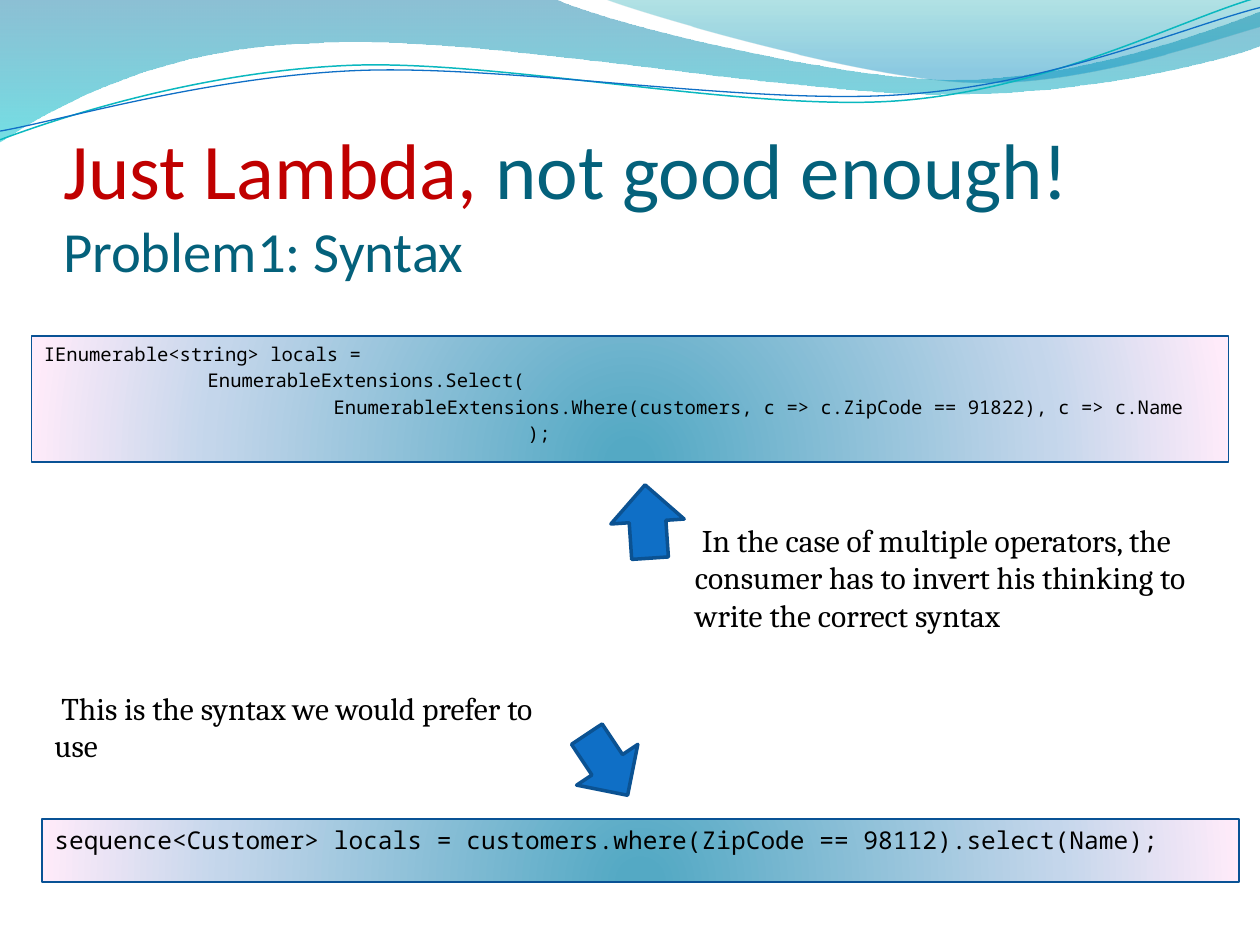
import pptx
import pptx.util
import pptx.dml.color
import pptx.enum.shapes
import pptx.enum.text
import pptx.oxml
import pptx.oxml.ns

Pt = pptx.util.Pt
qn = pptx.oxml.ns.qn
RGB = pptx.dml.color.RGBColor.from_string
SHAPE = pptx.enum.shapes.MSO_SHAPE
TEXT = pptx.enum.text
NS = 'xmlns:a="http://schemas.openxmlformats.org/drawingml/2006/main"'

COLORS = {
    "red": "C00000", "teal": "04617B", "black": "000000",
    "blue": "0F6FC6", "arrow_edge": "0B5292", "code_edge": "095295",
    "cyan": "0AB8BF",
}

# Content: text
TITLE = [[("Just Lambda,", 45, "red"), (" not good enough!", 45, "teal")],
         [("Problem1: Syntax", 32.4, "teal")]]
# Code boxes: place, text size, lines as (left indent, text)
CODE = [
    ((18, 192, 684, 72), 10.8, [
        (0, "IEnumerable<string> locals ="),
        (93.6, "EnumerableExtensions.Select("),
        (165.6, "EnumerableExtensions.Where(customers, c => c.ZipCode == 91822), c => c.Name"),
        (276.5, ");")]),
    ((24, 468, 684, 36), 14, [
        (0, "sequence<Customer> locals = customers.where(ZipCode == 98112).select(Name);")]),
]
NOTES = [
    ((390, 294, 312, 116.5), " In the case of multiple operators, the consumer "
                             "has to invert his thinking to write the correct syntax"),
    ((24, 390, 306, 94.5), " This is the syntax we would prefer to use"),
]
ARROWS = [((349, 277, 42, 42), 176.1), ((326, 416, 42, 42), 326.3)]

# Waves: 2 numbers make a straight line, 6 make a Bezier curve
BANDS = [
    ([("0074A1", 0, 45), ("00C6CF", 100, 55)], (0, 0),
     [(316.8, -0.7), (342.7, 12.2, 478, 45.4, 545.8, 45.4),
      (614.2, 45.4, 689.8, 18.7, 720, 6.5), (720.7, 25.9),
      (707.8, 31.7, 626.4, 54.7, 537.1, 54), (447.8, 54, 275, 20.2, 185, 24.5),
      (92.9, 25.9, 33.1, 59.8, -0.7, 81.4)]),
    ([("00A1A9", 0, 30), ("008BBF", 80, 45)], (344.9, -0.7),
     [(366.5, 7.9, 491, 44.6, 553.7, 46.8), (616.3, 49.7, 691.9, 23, 720, 15.1), (720, 0)]),
]
STRANDS = [
    ("cyan", 0.85, (0, 79.9),
     [(34.6, 67, 113.8, 41, 199.4, 37.4), (284.4, 33.8, 427, 64.1, 513.4, 57.6),
      (599.8, 51.1, 675.4, 10.8, 718.6, -1.4)]),
    ("blue", 0.75, (0, 74.9),
     [(33.8, 69.1, 118.1, 43.9, 203.8, 40.3), (290.2, 36.7, 429.8, 60.5, 516.2, 54),
      (601.9, 48.2, 677.5, 15.1, 720, 4.3)]),
]
CODE_STOPS = [("54A9C4", 3, 100), ("C4D6EB", 70, 100), ("FFEBFA", 100, 100)]
LINEAR = '<a:lin ang="5400000" scaled="0"/>'
RADIAL = '<a:path path="circle"><a:fillToRect l="50000" t="100000" r="50000" b="0"/></a:path>'


def add_wave(start, segments, close):
    """Freeform whose six-number segments become true Bezier curves."""
    fb = s.shapes.build_freeform(*map(Pt, start))
    fb.add_line_segments([(Pt(seg[i]), Pt(seg[i + 1])) for seg in segments
                          for i in range(0, len(seg), 2)], close=close)
    sp = fb.convert_to_shape()
    steps = iter(list(sp._element.iter(qn("a:lnTo"))))
    for seg in segments:
        group = [next(steps) for _ in range(len(seg) // 2)]
        if len(group) == 3:
            curve = pptx.oxml.parse_xml(f"<a:cubicBezTo {NS}/>")
            group[0].addprevious(curve)
            for step in group:
                curve.append(step[0])
                step.getparent().remove(step)
    sp.shadow.inherit = False
    sp.fill.background()
    return sp


def set_gradient(sp, stops, direction):
    sp.fill.background()
    gs = "".join(f'<a:gs pos="{pos * 1000}"><a:srgbClr val="{c}"><a:alpha val="{alpha * 1000}"/>'
                 f'</a:srgbClr></a:gs>' for c, pos, alpha in stops)
    none = sp._element.spPr.find(qn("a:noFill"))
    none.getparent().replace(none, pptx.oxml.parse_xml(
        f'<a:gradFill {NS} rotWithShape="1"><a:gsLst>{gs}</a:gsLst>{direction}</a:gradFill>'))


def set_line(sp, color, width):
    sp.line.color.rgb = RGB(COLORS[color])
    sp.line.width = Pt(width)


def add_run(p, text, name, size, color):
    r = p.add_run()
    r.text = text
    for key, value in {"name": name, "size": Pt(size), "bold": False}.items():
        setattr(r.font, key, value)
    r.font.color.rgb = RGB(COLORS[color])


def set_frame(tf, **values):
    for key, value in values.items():
        setattr(tf, key, value)


def add_shape(kind, box):
    sp = s.shapes.add_shape(kind, *map(Pt, box))
    sp.shadow.inherit = False
    return sp


prs = pptx.Presentation()
prs.slide_width, prs.slide_height = Pt(720), Pt(540)
s = prs.slides.add_slide(prs.slide_layouts[5])

# Waves at the top
for stops, start, segments in BANDS:
    sp = add_wave(start, segments, True)
    set_gradient(sp, stops, LINEAR)
    sp.line.fill.background()
for color, width, start, segments in STRANDS:
    set_line(add_wave(start, segments, False), color, width)

# Title, in front of the waves
title = s.shapes.title
s.shapes._spTree.append(title._element)
for key, value in zip(("left", "top", "width", "height"), (36, 72, 648, 90)):
    setattr(title, key, Pt(value))
tf = title.text_frame
set_frame(tf, margin_left=0, margin_right=0, margin_top=Pt(3.6), margin_bottom=0,
          word_wrap=True, auto_size=TEXT.MSO_AUTO_SIZE.NONE,
          vertical_anchor=TEXT.MSO_ANCHOR.BOTTOM)
p = tf.paragraphs[0]
p.alignment = TEXT.PP_ALIGN.LEFT
for i, line in enumerate(TITLE):
    if i:
        p.add_line_break()
    for text, size, color in line:
        add_run(p, text, "Calibri", size, color)

# Code boxes
for box, size, lines in CODE:
    sp = add_shape(SHAPE.RECTANGLE, box)
    set_gradient(sp, CODE_STOPS, RADIAL)
    set_line(sp, "code_edge", 0.75)
    tf = sp.text_frame
    set_frame(tf, word_wrap=True, vertical_anchor=TEXT.MSO_ANCHOR.TOP)
    for i, (indent, text) in enumerate(lines):
        p = tf.add_paragraph() if i else tf.paragraphs[0]
        p.alignment = TEXT.PP_ALIGN.LEFT
        p.space_before = Pt(2.2 if i else 0)
        p._p.get_or_add_pPr().set("marL", str(Pt(indent)))
        add_run(p, text, "Noto Sans Mono", size, "black")

# Notes
for box, text in NOTES:
    tf = s.shapes.add_textbox(*map(Pt, box)).text_frame
    set_frame(tf, word_wrap=True)
    add_run(tf.paragraphs[0], text, "Cambria", 18, "black")

# Arrows
for box, angle in ARROWS:
    sp = add_shape(SHAPE.DOWN_ARROW, box)
    sp.rotation = angle
    sp.fill.solid()
    sp.fill.fore_color.rgb = RGB(COLORS["blue"])
    set_line(sp, "arrow_edge", 2)

prs.save("out.pptx")
